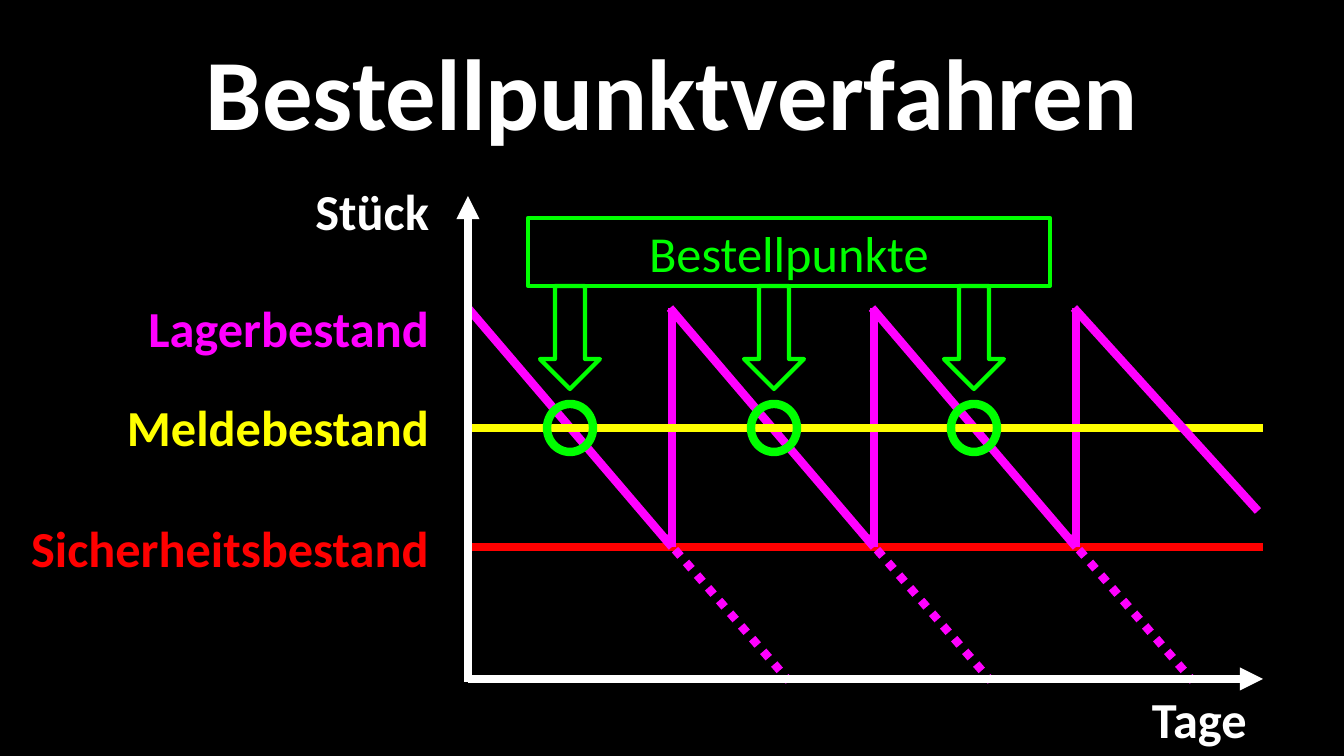
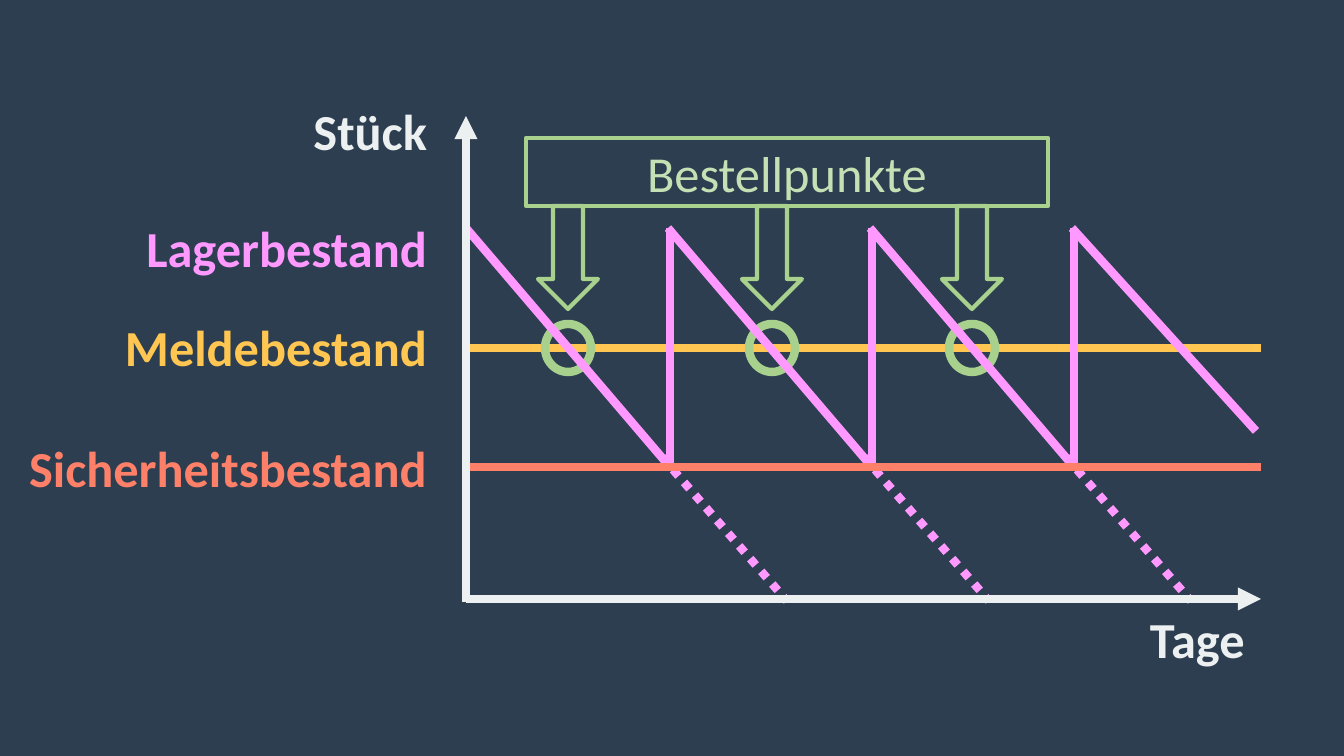
import lxml.etree
import pptx
import pptx.dml.color
import pptx.enum.dml
import pptx.enum.shapes
import pptx.enum.text
import pptx.oxml.ns
import pptx.util

PX = 12192000 / 1344  # EMU per px
FONT = "Calibri"
SHAPES = pptx.enum.shapes.MSO_SHAPE
ALIGN = pptx.enum.text.PP_ALIGN
RGB = pptx.dml.color.RGBColor.from_string
qn = pptx.oxml.ns.qn

THEMES = [
    {
        "title": "Bestellpunktverfahren",
        "shift": (0, 0),
        "colours": {
            "background": "000000", "axis": "FFFFFF", "stock": "FF00FF",
            "reorder": "FFFF00", "safety": "FF0000",
            "order": "00FF00", "order text": "00FF00",
        },
        "layers": ["safety", "labels", "stock", "days axis", "reorder",
                   "pieces axis", "orders", "last stock"],
    },
    {
        "title": None,
        "shift": (-2, -80),
        "colours": {
            "background": "2C3E50", "axis": "ECF0F1", "stock": "FF99FF",
            "reorder": "FFC652", "safety": "FF8069",
            "order": "A9D18E", "order text": "C5E0B4",
        },
        "layers": ["reorder", "labels", "orders", "stock", "last stock",
                   "days axis", "safety", "pieces axis"],
    },
]

# Chart geometry in px, before the shift of a slide
LEFT, RIGHT = 468, 1263
FULL, REORDER, SAFETY, ZERO = 308, 428, 547, 679
CYCLE, CYCLES = 202, 3
ORDER_CENTRES = [570, 774, 974]

# text, colour, alignment, left, top, width
LABELS = [
    ("Stück", "axis", ALIGN.RIGHT, 20, 175, 419),
    ("Tage", "axis", ALIGN.LEFT, 1142, 683, 146),
    ("Lagerbestand", "stock", ALIGN.RIGHT, 20, 292, 419),
    ("Meldebestand", "reorder", ALIGN.RIGHT, 20, 391, 419),
    ("Sicherheitsbestand", "safety", ALIGN.RIGHT, 20, 512, 419),
]

# layer: lines of (from x, from y, to x, to y, colour, points, style)
LINES = {
    "safety": [(LEFT, SAFETY, RIGHT, SAFETY, "safety", 6, "solid")],
    "reorder": [(LEFT, REORDER, RIGHT, REORDER, "reorder", 6, "solid")],
    "days axis": [(LEFT, ZERO, RIGHT, ZERO, "axis", 5.5, "arrow")],
    "pieces axis": [(LEFT, 682, LEFT, 196, "axis", 5.5, "arrow")],
    "stock": [],
    "last stock": [(LEFT + CYCLES * CYCLE, FULL, 1258, 511, "stock", 6, "solid")],
}
for cycle in range(CYCLES):
    start = LEFT + cycle * CYCLE
    end = start + 204
    LINES["stock"] += [
        (end, FULL, end, SAFETY, "stock", 6, "solid"),
        (end - 8, 537, end + 117, 681, "stock", 6, "dotted"),
        (start, FULL, end, SAFETY, "stock", 6, "solid"),
    ]


def place(x, y, *size):
    """Shift a position by the current slide's offset and turn px into EMU."""
    shift_x, shift_y = theme["shift"]
    return [round(value * PX) for value in (x + shift_x, y + shift_y, *size)]


def write(box, text, size, colour, align, bold):
    """Set one paragraph of text in a box and return the paragraph."""
    box.text_frame.word_wrap = True
    para = box.text_frame.paragraphs[0]
    para.text = text
    para.alignment = align
    para.font.name = FONT
    para.font.size = pptx.util.Pt(size)
    para.font.bold = bold
    para.font.color.rgb = RGB(colour)
    return para


deck = pptx.Presentation()
deck.slide_width = round(1344 * PX)
deck.slide_height = round(756 * PX)

for theme in THEMES:
    colours = theme["colours"]
    page = deck.slides.add_slide(deck.slide_layouts[6])
    page.background.fill.solid()
    page.background.fill.fore_color.rgb = RGB(colours["background"])

    if theme["title"]:
        title = page.shapes.add_textbox(*place(168, 23, 1008, 134))
        para = write(title, theme["title"], 72, colours["axis"], ALIGN.CENTER, True)
        para.line_spacing = 0.9
        title.text_frame.vertical_anchor = pptx.enum.text.MSO_ANCHOR.BOTTOM

    for layer in theme["layers"]:
        if layer == "labels":
            for text, colour, align, x, y, width in LABELS:
                label = page.shapes.add_textbox(*place(x, y, width, 72))
                write(label, text, 36, colours[colour], align, True)
                label.text_frame.auto_size = pptx.enum.text.MSO_AUTO_SIZE.SHAPE_TO_FIT_TEXT

        elif layer == "orders":
            outlines = [(SHAPES.OVAL, x - 23, 404, 46, 48, 6) for x in ORDER_CENTRES]
            outlines.append((SHAPES.RECTANGLE, 528, 218, 522, 68, 3))
            outlines += [(SHAPES.DOWN_ARROW, x - 30, 286, 60, 103, 3) for x in ORDER_CENTRES]
            for kind, x, y, width, height, points in outlines:
                shape = page.shapes.add_shape(kind, *place(x, y, width, height))
                shape.shadow.inherit = False
                shape.fill.background()
                shape.line.color.rgb = RGB(colours["order"])
                shape.line.width = pptx.util.Pt(points)
                if kind == SHAPES.RECTANGLE:
                    write(shape, "Bestellpunkte", 36, colours["order text"], ALIGN.CENTER, False)

        else:
            for x1, y1, x2, y2, colour, points, style in LINES[layer]:
                line = page.shapes.add_connector(
                    pptx.enum.shapes.MSO_CONNECTOR.STRAIGHT, *place(x1, y1), *place(x2, y2))
                line.line.color.rgb = RGB(colours[colour])
                line.line.width = pptx.util.Pt(points)
                properties = line.element.spPr
                if style == "dotted":
                    line.line.dash_style = pptx.enum.dml.MSO_LINE.ROUND_DOT
                elif style == "arrow":
                    stroke = properties.find(qn("a:ln"))
                    lxml.etree.SubElement(stroke, qn("a:tailEnd"), type="triangle")
                lxml.etree.SubElement(properties, qn("a:effectLst"))

deck.save("out.pptx")
